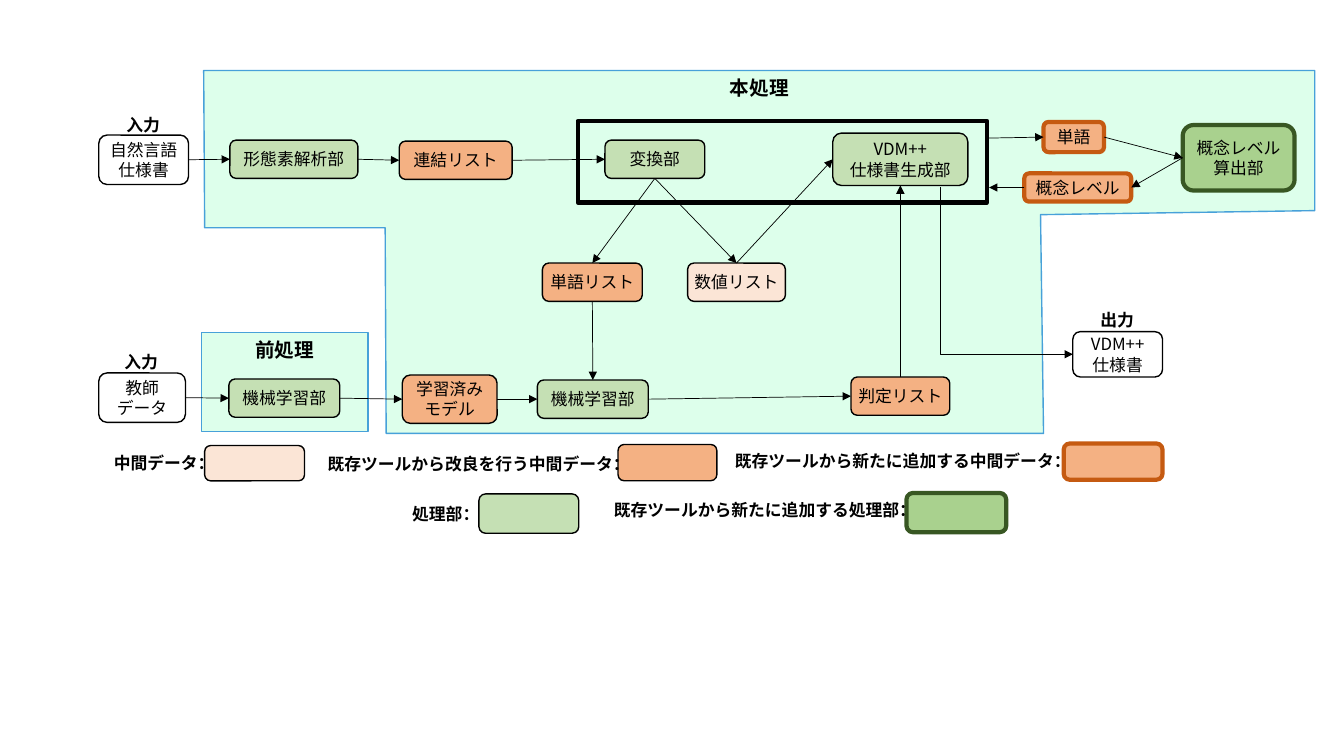
from lxml import etree
from pptx import Presentation
from pptx import util as u
from pptx.dml.color import RGBColor
from pptx.enum import shapes, text
from pptx.oxml.ns import qn

FONT = "Noto Sans CJK JP"
COLORS = {"area": "DDFFEB", "edge": "47A1D9", "ink": "000000", "green": "C5E0B4",
          "leaf": "A9D18E", "forest": "385723", "orange": "F4B183",
          "rust": "C55A11", "peach": "FBE5D6"}
STYLES = {
    "io": (None, "ink", 1),
    "frame": (None, "ink", 3),
    "area": ("area", "edge", 1),
    "process": ("green", "ink", 1),
    "new_process": ("leaf", "forest", 3),
    "data": ("peach", "ink", 1),
    "improved_data": ("orange", "ink", 1),
    "new_data": ("orange", "rust", 3),
}
MAIN_OUTLINE = [(2.02, 0.7), (13.04, 0.7), (13.04, 2.09), (10.32, 2.13), (10.35, 4.3),
                (3.83, 4.3), (3.82, 2.26), (2.03, 2.26)]
MAIN_TITLE = "本処理"
PRE_AREA = ("前処理", (2, 3.3, 1.65, 0.98))
FRAME = (5.73, 1.2, 4.06, 0.81)
NODES = {
    "spec_in": (["自然言語", "仕様書"], "io", (0.98, 1.34, 0.89, 0.49)),
    "morph": (["形態素解析部"], "process", (2.28, 1.39, 1.27, 0.38)),
    "linked": (["連結リスト"], "improved_data", (3.96, 1.4, 1.12, 0.38)),
    "convert": (["変換部"], "process", (6, 1.39, 0.99, 0.38)),
    "generate": (["VDM++", "仕様書生成部"], "process", (8.26, 1.32, 1.34, 0.52)),
    "word": (["単語"], "new_data", (10.35, 1.21, 0.6, 0.3)),
    "level": (["概念レベル"], "new_data", (10.16, 1.72, 1.06, 0.28)),
    "level_calc": (["概念レベル", "算出部"], "new_process", (11.73, 1.24, 1.11, 0.65)),
    "words": (["単語リスト"], "improved_data", (5.38, 2.61, 0.99, 0.38)),
    "numbers": (["数値リスト"], "data", (6.82, 2.61, 0.97, 0.38)),
    "teacher": (["教師", "データ"], "io", (0.98, 3.7, 0.86, 0.49)),
    "pre_learn": (["機械学習部"], "process", (2.27, 3.76, 1.1, 0.38)),
    "model": (["学習済み", "モデル"], "improved_data", (3.99, 3.72, 0.94, 0.48)),
    "learn": (["機械学習部"], "process", (5.33, 3.77, 1.1, 0.38)),
    "judge": (["判定リスト"], "improved_data", (8.44, 3.74, 0.98, 0.38)),
    "spec_out": (["VDM++", "仕様書"], "io", (10.64, 3.29, 0.89, 0.45)),
}
TOP, LEFT, BOTTOM, RIGHT = range(4)
ARROWS = [
    (("spec_in", RIGHT), ("morph", LEFT)),
    (("morph", RIGHT), ("linked", LEFT)),
    (("linked", RIGHT), ("convert", LEFT)),
    (("convert", BOTTOM), ("words", TOP)),
    (("convert", BOTTOM), ("numbers", TOP)),
    (("words", BOTTOM), ("learn", TOP)),
    (("numbers", TOP), ("generate", LEFT)),
    (("teacher", RIGHT), ("pre_learn", LEFT)),
    (("pre_learn", RIGHT), ("model", LEFT)),
    (("model", RIGHT), ("learn", LEFT)),
    (("learn", RIGHT), ("judge", LEFT)),
    (("judge", TOP), ("generate", BOTTOM)),
    ((9.81, 1.37), ("word", LEFT)),
    (("word", RIGHT), ("level_calc", LEFT)),
    (("level_calc", LEFT), ("level", RIGHT)),
    (("level", LEFT), (9.81, 1.86)),
]
OUTPUT_START = (9.33, 1.86)
LABELS = [("入力", 1.15, 1.09), ("入力", 1.13, 3.44), ("出力", 10.81, 3.02)]
LEGEND = [
    ("中間データ：", (1.03, 4.44, 1.09), "data", (2.03, 4.42, 0.99, 0.35)),
    ("既存ツールから改良を行う中間データ：", (3.15, 4.45, 3.11), "improved_data", (6.13, 4.41, 0.98, 0.36)),
    ("既存ツールから新たに追加する中間データ：", (7.19, 4.42, 3.45), "new_data", (10.55, 4.4, 0.98, 0.36)),
    ("処理部：", (3.99, 4.95, 0.76), "process", (4.75, 4.9, 0.99, 0.39)),
    ("既存ツールから新たに追加する処理部：", (5.99, 4.91, 3.11), "new_process", (8.99, 4.89, 0.99, 0.39)),
]

prs = Presentation()
prs.slide_width, prs.slide_height = u.Inches(13.33), u.Inches(7.5)
s = prs.slides.add_slide(prs.slide_layouts[6])


def rgb(name):
    return RGBColor.from_string(COLORS[name])


def inches(values):
    return [u.Inches(v) for v in values]


def write(sp, lines, size=12, bold=False, align=text.PP_ALIGN.CENTER):
    tf = sp.text_frame
    for i, line in enumerate(lines):
        p = tf.paragraphs[0] if i == 0 else tf.add_paragraph()
        p.alignment = align
        r = p.add_run()
        r.text = line
        r.font.size, r.font.bold, r.font.name = u.Pt(size), bold, FONT
        r.font.color.rgb = rgb("ink")
        etree.SubElement(r._r.get_or_add_rPr(), qn("a:ea")).set("typeface", FONT)


def paint(sp, style):
    fill, line, width = STYLES[style]
    sp.shadow.inherit = False
    if fill:
        sp.fill.solid()
        sp.fill.fore_color.rgb = rgb(fill)
    else:
        sp.fill.background()
    sp.line.color.rgb, sp.line.width = rgb(line), u.Pt(width)


def add_box(box, style, lines=(), kind=shapes.MSO_SHAPE.ROUNDED_RECTANGLE):
    sp = s.shapes.add_shape(kind, *inches(box))
    paint(sp, style)
    tf = sp.text_frame
    tf.margin_left = tf.margin_right = tf.margin_top = tf.margin_bottom = u.Inches(0.04)
    tf.vertical_anchor = text.MSO_ANCHOR.MIDDLE
    write(sp, lines)
    return sp


def add_label(words, box, wrap, align):
    sp = s.shapes.add_textbox(*inches(box))
    sp.text_frame.word_wrap = wrap
    write(sp, [words], bold=True, align=align)


def add_arrow(start, end, kind=shapes.MSO_CONNECTOR.STRAIGHT):
    points = [(0, 0) if isinstance(e[0], str) else e for e in (start, end)]
    c = s.shapes.add_connector(kind, *inches(points[0] + points[1]))
    for e, join in ((start, c.begin_connect), (end, c.end_connect)):
        if isinstance(e[0], str):
            join(nodes[e[0]], e[1])
    c.line.color.rgb, c.line.width = rgb("ink"), u.Pt(0.5)
    etree.SubElement(c.line._get_or_add_ln(), qn("a:tailEnd")).set("type", "triangle")
    etree.SubElement(c._element.spPr, qn("a:effectLst"))
    return c


builder = s.shapes.build_freeform(*inches(MAIN_OUTLINE[0]), scale=1.0)
builder.add_line_segments([inches(pt) for pt in MAIN_OUTLINE[1:]], close=True)
main_area = builder.convert_to_shape()
paint(main_area, "area")
main_area.text_frame.vertical_anchor = text.MSO_ANCHOR.TOP
write(main_area, [MAIN_TITLE], 14, True)

pre_area = add_box(PRE_AREA[1], "area", kind=shapes.MSO_SHAPE.RECTANGLE)
pre_area.text_frame.vertical_anchor = text.MSO_ANCHOR.TOP
pre_area.text_frame.margin_top = u.Inches(0.05)
write(pre_area, [PRE_AREA[0]], 14, True)

add_box(FRAME, "frame", kind=shapes.MSO_SHAPE.RECTANGLE)
nodes = {name: add_box(box, style, lines) for name, (lines, style, box) in NODES.items()}

for start, end in ARROWS:
    add_arrow(start, end)

elbow = add_arrow(OUTPUT_START, ("spec_out", LEFT), shapes.MSO_CONNECTOR.ELBOW)
x, y = OUTPUT_START
left, top, _, height = NODES["spec_out"][2]
across, down = left - x, top + height / 2 - y
elbow.left, elbow.top, elbow.width, elbow.height = inches(
    (x + (across - down) / 2, y + (down - across) / 2, down, across))
xfrm = elbow._element.spPr.find(qn("a:xfrm"))
xfrm.set("rot", str(270 * 60000))
xfrm.set("flipH", "1")
elbow._element.spPr.find(qn("a:prstGeom")).set("prst", "bentConnector2")

for words, x, y in LABELS:
    add_label(words, (x, y, 0.54, 0.3), False, text.PP_ALIGN.CENTER)
for words, place, style, swatch in LEGEND:
    add_box(swatch, style)
    add_label(words, place + (0.3,), True, text.PP_ALIGN.LEFT)

prs.save("out.pptx")
